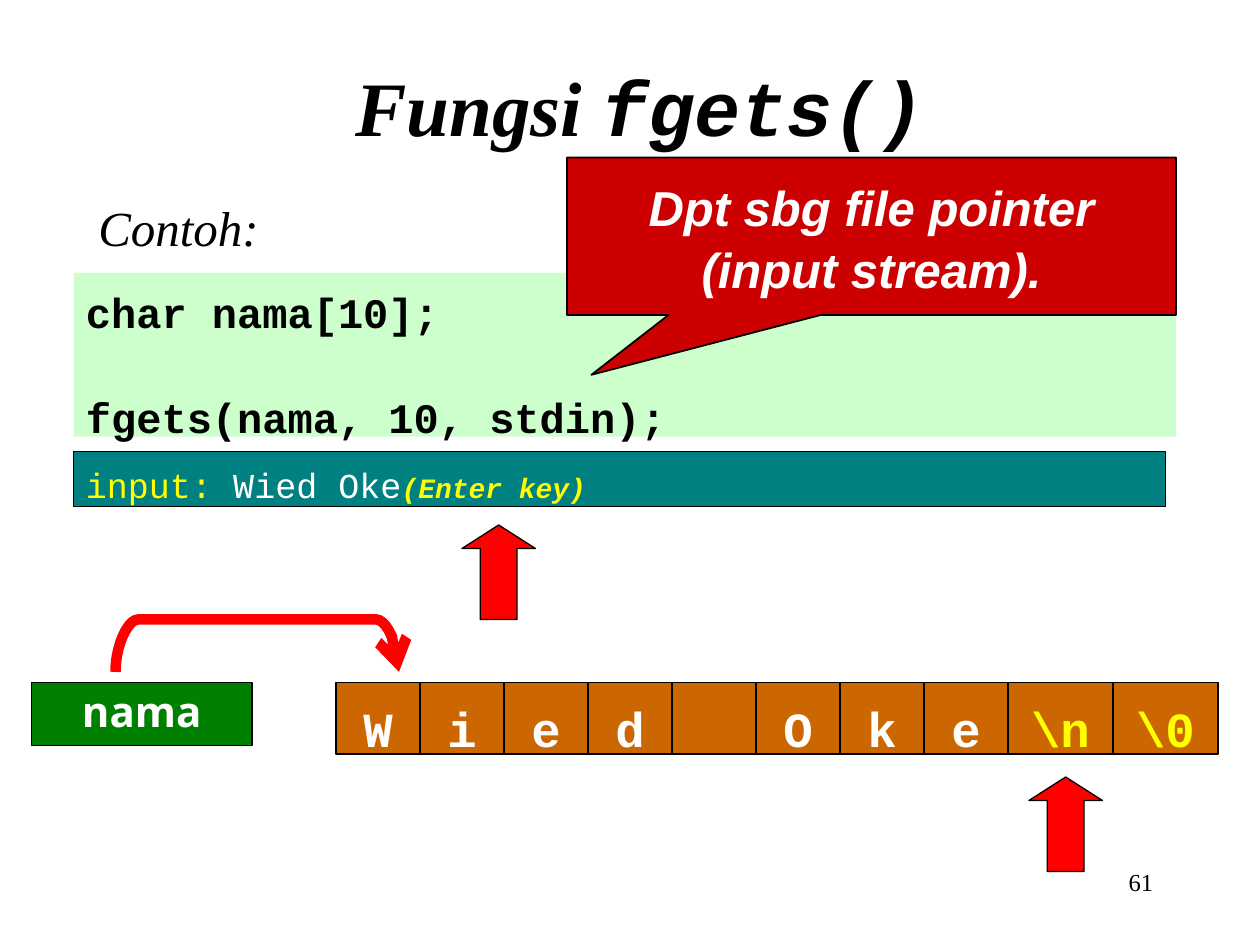
"""Build the slide that explains fgets() with a character array."""
from lxml import etree
from pptx import Presentation
from pptx.dml.color import RGBColor
from pptx.enum.shapes import MSO_SHAPE
from pptx.enum.text import MSO_ANCHOR, PP_ALIGN
from pptx.oxml.ns import qn
from pptx.util import Pt

RECTANGLE = MSO_SHAPE.RECTANGLE
CALLOUT = MSO_SHAPE.RECTANGULAR_CALLOUT
UP_ARROW = MSO_SHAPE.UP_ARROW
TOP, MIDDLE = MSO_ANCHOR.TOP, MSO_ANCHOR.MIDDLE
LEFT, CENTER, RIGHT = PP_ALIGN.LEFT, PP_ALIGN.CENTER, PP_ALIGN.RIGHT
color = RGBColor.from_string
MONO, SERIF = "Courier New", "Times New Roman"

deck = Presentation()
deck.slide_width, deck.slide_height = Pt(720), Pt(540)
page = deck.slides.add_slide(deck.slide_layouts[5])


def add_block(kind, left, top, width, height, fill, line=1):
    block = page.shapes.add_shape(kind, Pt(left), Pt(top), Pt(width), Pt(height))
    block.shadow.inherit = False
    block.fill.solid()
    block.fill.fore_color.rgb = color(fill)
    if line:
        block.line.color.rgb = color("000000")
        block.line.width = Pt(line)
    else:
        block.line.fill.background()
    return block


def write(box, lines, font, size, ink="000000", bold=False, italic=False,
          align=CENTER, anchor=TOP, inset=3.6, wrap=True):
    frame = box.text_frame
    frame.word_wrap = wrap
    frame.vertical_anchor = anchor
    frame.margin_left = frame.margin_right = Pt(7.2)
    frame.margin_top = Pt(inset)
    frame.margin_bottom = Pt(3.6 if anchor == MIDDLE else 0)
    for number, line in enumerate(lines):
        para = frame.paragraphs[0] if number == 0 else frame.add_paragraph()
        para.alignment = align
        para.font.name, para.font.size = font, Pt(size)
        para.font.bold, para.font.italic = bold, italic
        para.font.color.rgb = color(ink)
        for text in line:
            para.add_run().text = text
    return frame.paragraphs


title = page.shapes.title
title.left, title.top, title.width, title.height = Pt(60), Pt(12), Pt(612), Pt(90)
title_para = write(title, [["Fungsi ", "fgets()"]], SERIF, 44, bold=True,
                   italic=True, anchor=MIDDLE, inset=10)[0]
title_para.runs[1].font.name = MONO

number_box = page.shapes.add_textbox(Pt(516), Pt(492), Pt(150), Pt(36))
write(number_box, [["61"]], SERIF, 14, align=RIGHT)

console = add_block(RECTANGLE, 42, 258, 624, 31.5, "008080")
console_para = write(console, [["input: ", "Wied Oke", "(Enter key)"]], MONO, 20,
                     "FFFF00", align=LEFT, inset=7)[0]
console_para.runs[1].font.color.rgb = color("FFFFFF")
key_font = console_para.runs[2].font
key_font.size, key_font.bold, key_font.italic = Pt(16), True, True

cell_left = 192
for letter in ["W", "i", "e", "d", "", "O", "k", "e", "\\n", "\\0"]:
    special = letter.startswith("\\")
    cell_width = 60 if special else 48
    cell = add_block(RECTANGLE, cell_left, 390, cell_width, 41, "CC6600")
    if letter:
        write(cell, [[letter]], MONO, 28, "FFFF00" if special else "FFFFFF",
              bold=True, inset=9)
    cell_left += cell_width

variable = add_block(RECTANGLE, 18, 390, 126, 36, "008000")
write(variable, [["nama"]], "Noto Sans", 24, "FFFFFF", bold=True, inset=2)

bends = [[(66, 384), (66, 369), (73, 354), (79, 354)],
         [(215, 354), (221, 354), (228, 369), (228, 384)]]
weights = [((1 - t) ** 3, 3 * t * (1 - t) ** 2, 3 * t * t * (1 - t), t ** 3)
           for t in (step / 10 for step in range(11))]
points = [tuple(Pt(sum(w * point[axis] for w, point in zip(weight, bend)))
                for axis in (0, 1))
          for bend in bends for weight in weights]
builder = page.shapes.build_freeform(*points[0])
builder.add_line_segments(points[1:], close=False)
pointer = builder.convert_to_shape()
pointer.shadow.inherit = False
pointer.fill.background()
pointer.line.color.rgb = color("FF0000")
pointer.line.width = Pt(6)
etree.SubElement(pointer.line._get_or_add_ln(), qn("a:tailEnd"), type="arrow")

code = add_block(RECTANGLE, 42, 156, 630, 93.6, "CCFFCC", line=0)
code_paras = write(code, [["char nama[10];"], ["fgets(nama, 10, stdin);"]], MONO, 24,
                   bold=True, align=LEFT, inset=8)
code_paras[1].space_before = Pt(31)

example = page.shapes.add_textbox(Pt(49), Pt(108), Pt(106), Pt(41))
write(example, [["Contoh:"]], SERIF, 28, italic=True, anchor=MIDDLE, inset=6,
      wrap=False)

callout = add_block(CALLOUT, 324, 90, 348, 90, "CC0000")
callout.adjustments[0], callout.adjustments[1] = -0.46, 0.88
callout_para = write(callout, [["Dpt sbg file pointer (input stream)."]], "Arial", 28,
                     "FFFFFF", bold=True, italic=True, anchor=MIDDLE)[0]
callout_para.line_spacing = 1.05

for left, top in [(588, 444), (264, 300)]:
    arrow = add_block(UP_ARROW, left, top, 42, 54, "FF0000", line=0.75)
    arrow.adjustments[0], arrow.adjustments[1] = 0.5, 0.32

deck.save("out.pptx")
